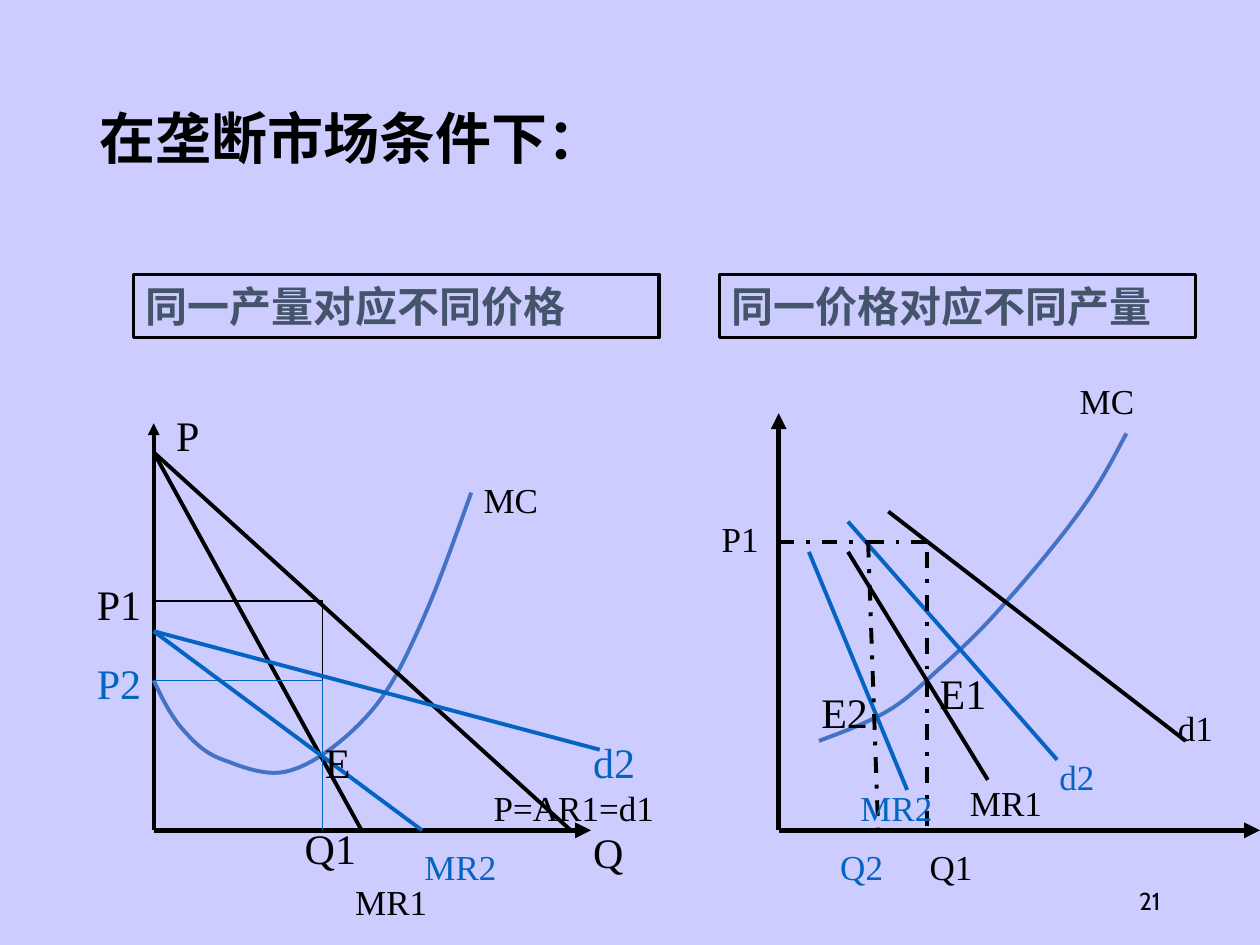
from lxml import etree
from pptx import Presentation
from pptx.dml.color import RGBColor
from pptx.enum.dml import MSO_LINE
from pptx.enum.shapes import MSO_CONNECTOR, MSO_SHAPE
from pptx.enum.text import MSO_ANCHOR, MSO_AUTO_SIZE, PP_ALIGN
from pptx.oxml.ns import qn
from pptx.util import Inches, Pt

STRAIGHT = MSO_CONNECTOR.STRAIGHT
RECTANGLE = MSO_SHAPE.RECTANGLE
DASH_DOT = MSO_LINE.DASH_DOT
MIDDLE = MSO_ANCHOR.MIDDLE
GROW = MSO_AUTO_SIZE.SHAPE_TO_FIT_TEXT
LEFT, RIGHT = PP_ALIGN.LEFT, PP_ALIGN.RIGHT

LAVENDER = RGBColor(0xCC, 0xCC, 0xFF)
BLACK = RGBColor(0x00, 0x00, 0x00)
BLUE = RGBColor(0x05, 0x63, 0xC1)
CURVE_BLUE = RGBColor(0x44, 0x72, 0xC4)
SLATE = RGBColor(0x44, 0x54, 0x6A)

SERIF = "Times New Roman"
CHINESE = "Noto Sans CJK SC"
STEPS = 12
BASE = 4.41


def format_text(frame, text, size, color, font=SERIF, bold=False, align=LEFT):
    frame.text = text
    frame.word_wrap = True
    para = frame.paragraphs[0]
    para.alignment = align
    span = para.runs[0]
    span.font.size = Pt(size)
    span.font.name = font
    span.font.bold = bold
    span.font.color.rgb = color
    if not text.isascii():
        east_asian = etree.SubElement(span.font._element, qn("a:ea"))
        east_asian.set("typeface", CHINESE)


def add_line(page, box, start, end, color=BLACK, width=2.25, dash=None, arrow=False):
    left, top = box
    line = page.shapes.add_connector(
        STRAIGHT,
        Inches(left + start[0]), Inches(top + start[1]),
        Inches(left + end[0]), Inches(top + end[1]),
    )
    line.line.color.rgb = color
    line.line.width = Pt(width)
    if dash:
        line.line.dash_style = dash
    if arrow:
        head = etree.SubElement(line.line._get_or_add_ln(), qn("a:tailEnd"))
        head.set("type", "triangle")
    etree.SubElement(line._element.spPr, qn("a:effectLst"))


def add_axes(page, box, across, peak, upright_width):
    add_line(page, box, (0, BASE), (across, BASE), width=3, arrow=True)
    add_line(page, box, (0, BASE), (0, peak), width=upright_width, arrow=True)


def bezier_point(corners, t):
    weights = ((1 - t) ** 3, 3 * t * (1 - t) ** 2, 3 * t ** 2 * (1 - t), t ** 3)
    return tuple(sum(w * c[axis] for w, c in zip(weights, corners)) for axis in (0, 1))


def add_cost_curve(page, box, knots):
    left, top = box
    points = [knots[0]]
    for first in range(0, len(knots) - 1, 3):
        corners = knots[first:first + 4]
        points += [bezier_point(corners, step / STEPS) for step in range(1, STEPS + 1)]
    places = [(Inches(left + x), Inches(top + y)) for x, y in points]
    builder = page.shapes.build_freeform(*places[0])
    builder.add_line_segments(places[1:], close=False)
    curve = builder.convert_to_shape()
    curve.shadow.inherit = False
    curve.fill.background()
    curve.line.color.rgb = CURVE_BLUE
    curve.line.width = Pt(2.25)


def add_labels(page, box, labels):
    left, top = box
    for text, x, y, width, size, color in labels:
        height = 0.5 if size == 24 else 0.44
        label = page.shapes.add_textbox(
            Inches(left + x), Inches(top + y), Inches(width), Inches(height))
        format_text(label.text_frame, text, size, color)
        label.text_frame.auto_size = GROW


def add_heading(page, box, x, width, text):
    left, top = box
    heading = page.shapes.add_shape(
        RECTANGLE, Inches(left + x), Inches(top), Inches(width), Inches(0.5))
    heading.shadow.inherit = False
    heading.fill.background()
    heading.line.color.rgb = BLACK
    heading.line.width = Pt(2)
    format_text(heading.text_frame, text, 24, SLATE, bold=True)
    heading.text_frame.auto_size = GROW


def add_same_output_panel(page, box):
    add_axes(page, box, 3.47, 1.18, 2.25)
    add_cost_curve(page, box, [
        (0, 3.22), (0.07, 3.37), (0.14, 3.51), (0.24, 3.62),
        (0.33, 3.72), (0.41, 3.8), (0.55, 3.85),
        (0.69, 3.9), (0.91, 4), (1.1, 3.93),
        (1.3, 3.87), (1.56, 3.66), (1.73, 3.46),
        (1.9, 3.26), (2, 3.04), (2.13, 2.75),
        (2.26, 2.46), (2.39, 2.09), (2.52, 1.73),
    ])
    for color, intercept, demand_end, revenue_end, price in (
        (BLACK, 1.41, (3.31, BASE), (1.65, BASE), 2.59),
        (BLUE, 2.83, (3.54, 3.77), (2.13, BASE), 3.22),
    ):
        add_line(page, box, (0, intercept), demand_end, color)
        add_line(page, box, (0, intercept), revenue_end, color)
        add_line(page, box, (1.34, price), (0, price), color, 1)
        add_line(page, box, (1.34, price), (1.34, BASE), color, 1)
    add_labels(page, box, [
        ("P", 0.08, 1.02, 1.02, 24, BLACK),
        ("Q", 3.39, 4.33, 0.71, 24, BLACK),
        ("MC", 2.52, 1.57, 0.87, 20, BLACK),
        ("MR1", 1.5, 4.76, 0.79, 20, BLACK),
        ("P=AR1=d1", 2.6, 4.01, 1.73, 20, BLACK),
        ("P1", -0.55, 2.36, 0.63, 24, BLACK),
        ("P2", -0.55, 2.99, 0.79, 24, BLUE),
        ("d2", 3.39, 3.62, 0.95, 24, BLUE),
        ("MR2", 2.05, 4.48, 1.1, 20, BLUE),
        ("Q1", 1.1, 4.3, 0.71, 24, BLACK),
        ("E", 1.26, 3.62, 0.55, 24, BLACK),
    ])
    add_heading(page, box, -0.16, 4.17, "同一产量对应不同价格")


def add_same_price_panel(page, box):
    add_axes(page, box, 3.82, 1.1, 3)
    add_cost_curve(page, box, [
        (0.32, 3.7), (0.51, 3.63), (0.7, 3.56), (0.87, 3.46),
        (1.04, 3.36), (1.18, 3.21), (1.34, 3.07),
        (1.5, 2.92), (1.63, 2.8), (1.81, 2.59),
        (2, 2.38), (2.29, 2.03), (2.44, 1.81),
        (2.6, 1.58), (2.71, 1.35), (2.76, 1.26),
    ])
    for start, end, color in (
        ((0.24, 2.2), (1.02, 4.09), BLUE),
        ((0.55, 1.96), (2.21, 3.85), BLUE),
        ((0.55, 2.2), (1.66, 4.01), BLACK),
        ((0.87, 1.88), (3.23, 3.7), BLACK),
    ):
        add_line(page, box, start, end, color)
    for start, end in (
        ((0.71, 2.12), (0.79, BASE)),
        ((1.18, 2.2), (1.18, BASE)),
        ((0, 2.12), (0.71, 2.12)),
        ((0.71, 2.12), (1.18, 2.12)),
    ):
        add_line(page, box, start, end, dash=DASH_DOT)
    add_labels(page, box, [
        ("d1", 3.07, 3.38, 0.75, 20, BLACK),
        ("MR1", 1.42, 3.97, 0.94, 20, BLACK),
        ("d2", 2.13, 3.77, 0.79, 20, BLUE),
        ("MR2", 0.55, 4.01, 0.87, 20, BLUE),
        ("MC", 2.29, 0.78, 1.18, 20, BLACK),
        ("P1", -0.55, 1.88, 0.87, 20, BLACK),
        ("Q2", 0.39, 4.48, 0.55, 20, BLUE),
        ("Q1", 1.1, 4.48, 0.87, 20, BLACK),
        ("E2", 0.24, 3.22, 0.63, 24, BLACK),
        ("E1", 1.18, 3.07, 0.71, 24, BLACK),
    ])
    add_heading(page, box, -0.47, 3.78, "同一价格对应不同产量")


def add_title(page, left, top, width, height):
    title = page.shapes.title
    title.left, title.top = Inches(left), Inches(top)
    title.width, title.height = Inches(width), Inches(height)
    format_text(title.text_frame, "在垄断市场条件下：", 32, BLACK, CHINESE, bold=True)
    title.text_frame.vertical_anchor = MIDDLE
    title.text_frame.paragraphs[0].line_spacing = 0.9


def add_page_number(page, left, top, width, height):
    number = page.shapes.add_textbox(
        Inches(left), Inches(top), Inches(width), Inches(height))
    format_text(number.text_frame, "21", 14, BLACK, "Cabin", align=RIGHT)
    number.text_frame.vertical_anchor = MIDDLE


def main():
    deck = Presentation()
    deck.slide_width, deck.slide_height = Inches(10), Inches(7.5)
    page = deck.slides.add_slide(deck.slide_layouts[5])
    page.background.fill.solid()
    page.background.fill.fore_color.rgb = LAVENDER
    add_title(page, 0.69, 0.4, 8.63, 1.45)
    add_page_number(page, 7.06, 6.95, 2.25, 0.4)
    add_same_output_panel(page, (1.22, 2.18))
    add_same_price_panel(page, (6.18, 2.18))
    deck.save("out.pptx")


if __name__ == "__main__":
    main()
